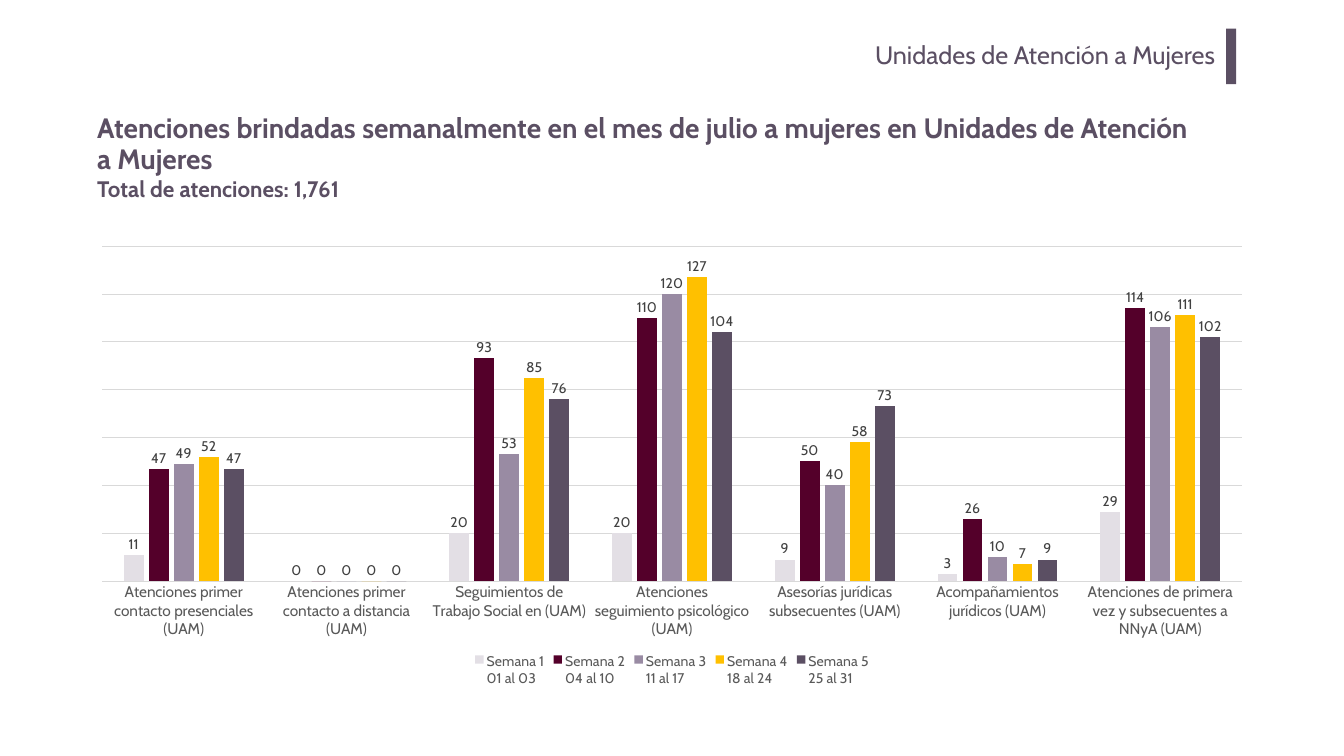
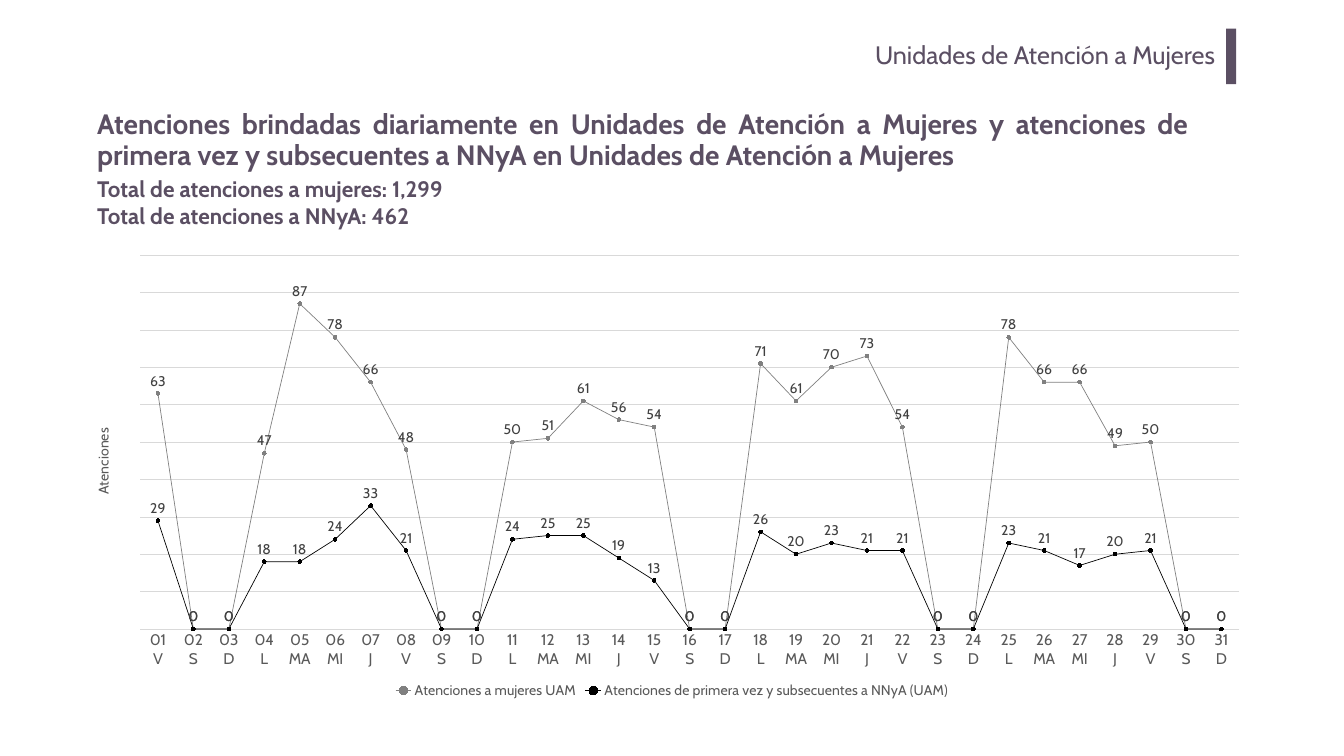
from pptx import Presentation
from pptx.chart.data import CategoryChartData
from pptx.dml.color import RGBColor
from pptx.enum.chart import (XL_CHART_TYPE, XL_LABEL_POSITION, XL_LEGEND_POSITION,
                             XL_MARKER_STYLE, XL_TICK_MARK)
from pptx.enum.shapes import MSO_SHAPE
from pptx.enum.text import MSO_ANCHOR, MSO_AUTO_SIZE, PP_ALIGN
from pptx.oxml import parse_xml
from pptx.oxml.ns import nsdecls
from pptx.util import Inches, Pt

# Colours and font
PLUM = RGBColor(0x5B, 0x4F, 0x63)
MIST = RGBColor(0xE3, 0xDF, 0xE5)
WINE = RGBColor(0x54, 0x00, 0x2A)
MAUVE = RGBColor(0x99, 0x8B, 0xA3)
AMBER = RGBColor(0xFF, 0xC0, 0x00)
GREY = RGBColor(0x80, 0x80, 0x80)
BLACK = RGBColor(0x00, 0x00, 0x00)
GRID = RGBColor(0xD9, 0xD9, 0xD9)
AXIS_TEXT = RGBColor(0x59, 0x59, 0x59)
LABEL_TEXT = RGBColor(0x40, 0x40, 0x40)
WHITE = RGBColor(0xFF, 0xFF, 0xFF)
FONT = "Cabin"

# Enum members
COLUMNS = XL_CHART_TYPE.COLUMN_CLUSTERED
LINES = XL_CHART_TYPE.LINE_MARKERS
ABOVE = XL_LABEL_POSITION.ABOVE
OUTSIDE = XL_LABEL_POSITION.OUTSIDE_END
LEGEND_BOTTOM = XL_LEGEND_POSITION.BOTTOM
CIRCLE = XL_MARKER_STYLE.CIRCLE
NO_TICK = XL_TICK_MARK.NONE
RECTANGLE = MSO_SHAPE.RECTANGLE
MIDDLE = MSO_ANCHOR.MIDDLE
TOP = MSO_ANCHOR.TOP
GROW = MSO_AUTO_SIZE.SHAPE_TO_FIT_TEXT
LEFT, RIGHT, JUSTIFY = PP_ALIGN.LEFT, PP_ALIGN.RIGHT, PP_ALIGN.JUSTIFY


def set_font(font, size, color, name=FONT, bold=False):
    font.size = Pt(size)
    font.name = name
    font.bold = bold
    font.color.rgb = color


def set_line(line, color, width):
    line.color.rgb = color
    line.width = Pt(width)


class Report:
    def __init__(self):
        self.deck = Presentation()
        self.deck.slide_width = Inches(26.67)
        self.deck.slide_height = Inches(15)
        self.page = None

    def new_page(self, heading, heading_top, totals, totals_size):
        """Start a slide with the section name, its bar, the heading and the totals."""
        self.page = self.deck.slides.add_slide(self.deck.slide_layouts[6])
        self.page.background.fill.solid()
        self.page.background.fill.fore_color.rgb = WHITE
        self.text((4.01, 0.67, 20.3, 1.02), ["Unidades de Atención a Mujeres"], 36,
                  align=RIGHT, insets=(0.2, 0.1))
        self.bar((24.33, 0.57, 0.2, 1.1), PLUM)
        self.text((1.83, heading_top, 21.85, 1.45), [heading], 40, bold=True,
                  align=JUSTIFY, anchor=MIDDLE, spacing=0.9)
        box = self.text((1.83, 3.43, *totals_size), totals, 32, bold=True)
        box.text_frame.auto_size = GROW

    def text(self, place, lines, size, bold=False, align=LEFT, anchor=TOP,
             insets=(0.1, 0.05), spacing=None):
        box = self.page.shapes.add_textbox(*map(Inches, place))
        frame = box.text_frame
        frame.word_wrap = True
        frame.vertical_anchor = anchor
        frame.margin_left = frame.margin_right = Inches(insets[0])
        frame.margin_top = frame.margin_bottom = Inches(insets[1])
        for index, line in enumerate(lines):
            para = frame.add_paragraph() if index else frame.paragraphs[0]
            para.alignment = align
            if spacing:
                para.line_spacing = spacing
            span = para.add_run()
            span.text = line
            set_font(span.font, size, PLUM, bold=bold)
        return box

    def bar(self, place, color):
        shape = self.page.shapes.add_shape(RECTANGLE, *map(Inches, place))
        shape.shadow.inherit = False
        shape.fill.solid()
        shape.fill.fore_color.rgb = color
        shape.line.fill.background()

    def chart(self, kind, place, categories, series, top_value, step, plot_area, label_position):
        """Add a chart; series holds (name, values, color), plot_area is in fractions."""
        data = CategoryChartData()
        data.categories = categories
        for name, values, _ in series:
            data.add_series(name, values)
        chart = self.page.shapes.add_chart(kind, *map(Inches, place), data).chart
        set_font(chart.font, 10, BLACK, "Arial")
        chart.has_title = False
        chart.has_legend = True
        chart.legend.position = LEGEND_BOTTOM
        chart.legend.include_in_layout = False
        set_font(chart.legend.font, 20, AXIS_TEXT)

        # Axes
        across, up = chart.category_axis, chart.value_axis
        across.major_tick_mark = across.minor_tick_mark = NO_TICK
        across.has_major_gridlines = False
        set_font(across.tick_labels.font, 22, AXIS_TEXT)
        set_line(across.format.line, GRID, 0.75)
        up.minimum_scale, up.maximum_scale, up.major_unit = 0, top_value, step
        up.has_major_gridlines = True
        set_line(up.major_gridlines.format.line, GRID, 0.75)
        up.visible = False

        # Series and value labels
        plot = chart.plots[0]
        plot.vary_by_categories = False
        for item, (_, _, color) in zip(plot.series, series):
            if kind == LINES:
                item.smooth = False
                set_line(item.format.line, color, 1)
                item.marker.style = CIRCLE
                item.marker.size = 5
                item.marker.format.fill.solid()
                item.marker.format.fill.fore_color.rgb = color
                set_line(item.marker.format.line, color, 0.75)
            else:
                item.format.fill.solid()
                item.format.fill.fore_color.rgb = color
            labels = item.data_labels
            labels.show_value = True
            labels.position = label_position
            set_font(labels.font, 20, LABEL_TEXT)
        self.place_plot(chart, plot_area)
        return chart

    def place_plot(self, chart, plot_area):
        area = chart.element.xpath("c:chart/c:plotArea")[0]
        for layout in area.xpath("c:layout"):
            area.remove(layout)
        sizes = "".join(f'<c:{tag} val="{value}"/>' for tag, value in zip("xywh", plot_area))
        area.insert(0, parse_xml(
            f'<c:layout {nsdecls("c")}><c:manualLayout><c:layoutTarget val="inner"/>'
            f'<c:xMode val="edge"/><c:yMode val="edge"/>{sizes}</c:manualLayout></c:layout>'))

    def value_title(self, chart, words):
        frame = chart.value_axis.axis_title.text_frame
        span = frame.paragraphs[0].add_run()
        span.text = words
        set_font(span.font, 20, AXIS_TEXT)
        body = chart.element.xpath("c:chart/c:plotArea/c:valAx/c:title//a:bodyPr")[0]
        body.set("rot", "-5400000")
        body.set("vert", "horz")


def weekly_page(report):
    report.new_page("Atenciones brindadas semanalmente en el mes de julio a mujeres "
                    "en Unidades de Atención a Mujeres", 2.15,
                    ["Total de atenciones: 1,761"], (5.64, 0.64))
    services = [
        "Atenciones primer contacto presenciales (UAM)",
        "Atenciones primer contacto a distancia (UAM)",
        "Seguimientos de Trabajo Social en (UAM)",
        "Atenciones seguimiento psicológico (UAM)",
        "Asesorías jurídicas subsecuentes (UAM)",
        "Acompañamientos jurídicos (UAM)",
        "Atenciones de primera vez y subsecuentes a NNyA (UAM)",
    ]
    weeks = [
        ("Semana 1\n01 al 03", (11, 0, 20, 20, 9, 3, 29), MIST),
        ("Semana 2\n04 al 10", (47, 0, 93, 110, 50, 26, 114), WINE),
        ("Semana 3\n11 al 17", (49, 0, 53, 120, 40, 10, 106), MAUVE),
        ("Semana 4\n18 al 24", (52, 0, 85, 127, 58, 7, 111), AMBER),
        ("Semana 5\n25 al 31", (47, 0, 76, 104, 73, 9, 102), PLUM),
    ]
    chart = report.chart(COLUMNS, (1.56, 4.7, 23.55, 8.99), services, weeks, 140, 20,
                         (0.02, 0.02, 0.96, 0.74), OUTSIDE)
    chart.plots[0].gap_width = 219
    chart.plots[0].overlap = -27


def daily_page(report):
    report.new_page("Atenciones brindadas diariamente en Unidades de Atención a Mujeres y "
                    "atenciones de primera vez y subsecuentes a NNyA en Unidades de "
                    "Atención a Mujeres", 2.07,
                    ["Total de atenciones a mujeres: 1,299",
                     "Total de atenciones a NNyA: 462"], (8.12, 1.18))
    # The month starts on a Friday
    weekdays = ("V", "S", "D", "L", "MA", "MI", "J")
    days = [f"{day:02}\n{weekdays[(day - 1) % 7]}" for day in range(1, 32)]
    groups = [
        ("Atenciones a mujeres UAM",
         (63, 0, 0, 47, 87, 78, 66, 48, 0, 0, 50, 51, 61, 56, 54, 0, 0, 71, 61, 70, 73,
          54, 0, 0, 78, 66, 66, 49, 50, 0, 0), GREY),
        ("Atenciones de primera vez y subsecuentes a NNyA (UAM)",
         (29, 0, 0, 18, 18, 24, 33, 21, 0, 0, 24, 25, 25, 19, 13, 0, 0, 26, 20, 23, 21,
          21, 0, 0, 23, 21, 17, 20, 21, 0, 0), BLACK),
    ]
    chart = report.chart(LINES, (1.61, 4.88, 23.45, 9.05), days, groups, 100, 10,
                         (0.05, 0.02, 0.93, 0.82), ABOVE)
    report.value_title(chart, "Atenciones")


def main():
    report = Report()
    weekly_page(report)
    daily_page(report)
    report.deck.save("out.pptx")


if __name__ == "__main__":
    main()
